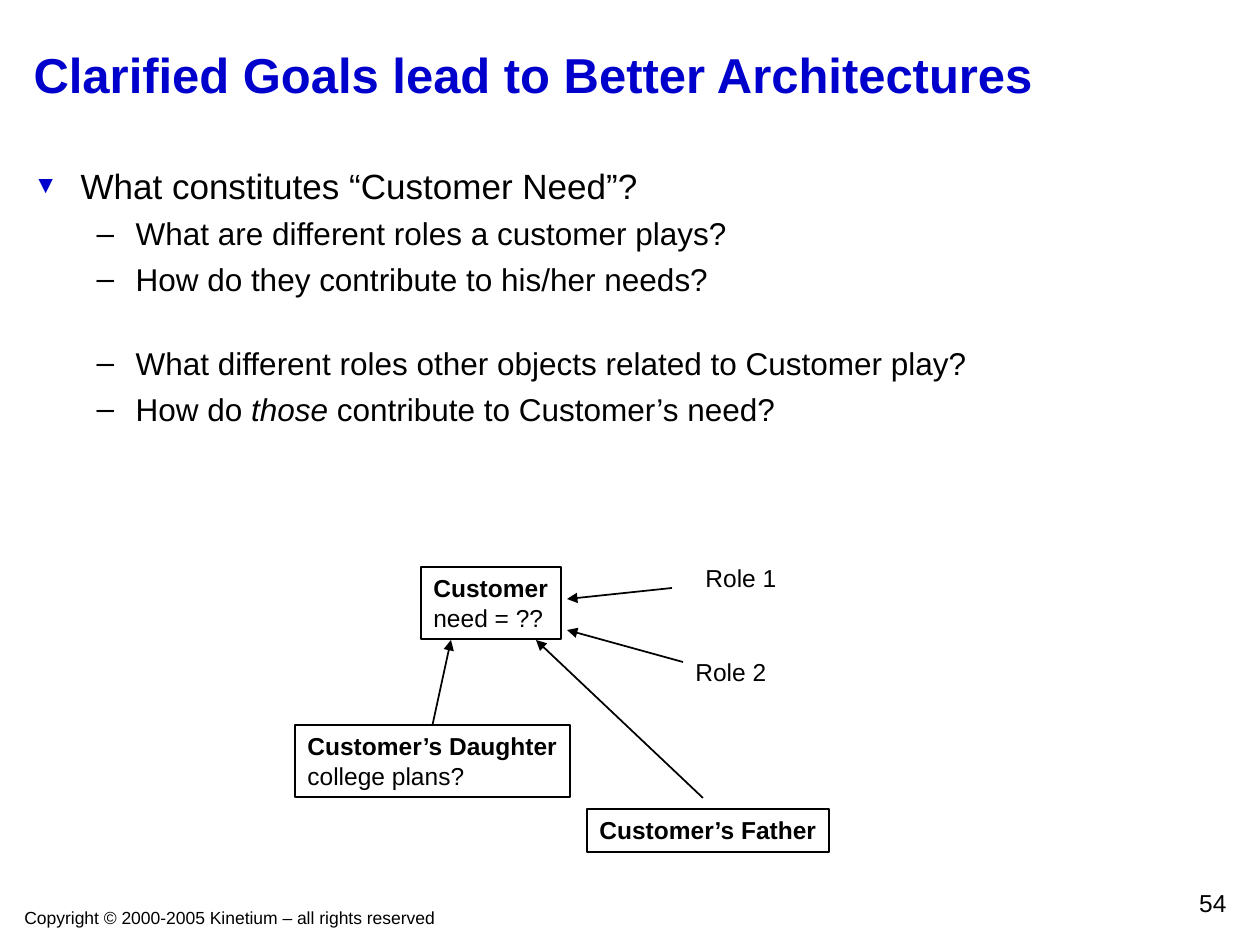
from lxml import etree
from pptx import Presentation
from pptx.dml.color import RGBColor
from pptx.enum.shapes import MSO_CONNECTOR, MSO_SHAPE
from pptx.enum.text import MSO_ANCHOR, MSO_AUTO_SIZE, PP_ALIGN
from pptx.oxml.ns import qn
from pptx.util import Pt

RECT, STRAIGHT = MSO_SHAPE.RECTANGLE, MSO_CONNECTOR.STRAIGHT
LEFT, RIGHT = PP_ALIGN.LEFT, PP_ALIGN.RIGHT
TOP, MIDDLE = MSO_ANCHOR.TOP, MSO_ANCHOR.MIDDLE
FONT = "Arial"
COLORS = {"title": "0000CC", "ink": "000000"}
PX = 914400 / 126

TITLE = "Clarified Goals lead to Better Architectures"
# level, space before in points, runs (text, style)
BULLETS = [
    (0, 5, [("What constitutes “Customer Need”?", "")]),
    (1, 4.5, [("What are different roles a customer plays?", "")]),
    (1, 4.5, [("How do they contribute to his/her needs?", "")]),
    (1, 26.5, [("What different roles other objects related to Customer play?", "")]),
    (1, 4.5, [("How do ", ""), ("those", "i"), (" contribute to Customer’s need?", "")]),
]
# text size, left indent, hanging indent, bullet, its size in %, its colour
LEVELS = [
    (20, 47, 47, "▼", 70, "title"),
    (18, 102, 39, "–", 100, "ink"),
]
# name: box, lines (text, style)
OBJECTS = {
    "customer": ((421, 567, 140, 72), [("Customer", "b"), ("need = ??", "")]),
    "father": ((587, 809, 242, 43), [("Customer’s Father", "b")]),
    "daughter": ((295, 725, 275, 72), [("Customer’s Daughter", "b"), ("college plans?", "")]),
}
# box, text, size, alignment, wrap
LABELS = [
    ((693, 557, 96, 43), "Role 1", 14, LEFT, False),
    ((683, 651, 96, 43), "Role 2", 14, LEFT, False),
    ((12, 901, 655, 34), "Copyright © 2000-2005 Kinetium – all rights reserved", 10, LEFT, True),
    ((977, 882, 262, 42), "54", 14, RIGHT, True),
]
# start, end, object whose top middle is the start
ARROWS = [
    ((672, 588), (567, 599), None),
    ((683, 662), (567, 630), None),
    ((703, 798), (536, 640), None),
    ((431, 725), (451, 640), "daughter"),
]


def px(*values):
    return [round(v * PX) for v in values]


def rgb(name):
    return RGBColor.from_string(COLORS[name])


def add_run(p, text, size, style="", color="ink"):
    r = p.add_run()
    r.text = text
    f = r.font
    f.name, f.size = FONT, Pt(size)
    f.bold, f.italic = "b" in style, "i" in style
    f.color.rgb = rgb(color)


def prepare(sp, anchor=TOP, wrap=True):
    """Set the frame's margins and anchor and return it."""
    tf = sp.text_frame
    tf.auto_size = MSO_AUTO_SIZE.NONE
    tf.word_wrap, tf.vertical_anchor = wrap, anchor
    tf.margin_left = tf.margin_right = Pt(7.2)
    tf.margin_top = tf.margin_bottom = Pt(3.6)
    return tf


def place(sp, box):
    sp.left, sp.top, sp.width, sp.height = px(*box)


def paragraphs(tf, items):
    """Yield a paragraph with each item, starting with the frame's first."""
    for i, item in enumerate(items):
        yield (tf.add_paragraph() if i else tf.paragraphs[0]), item


def set_bullet(p, left, hanging, char, percent, color):
    pPr = p._p.get_or_add_pPr()
    marL, indent = px(left, -hanging)
    pPr.set("marL", str(marL))
    pPr.set("indent", str(indent))
    clr = etree.SubElement(pPr, qn("a:buClr"))
    etree.SubElement(clr, qn("a:srgbClr"), val=COLORS[color])
    etree.SubElement(pPr, qn("a:buSzPct"), val=str(percent * 1000))
    etree.SubElement(pPr, qn("a:buFont"), typeface=FONT)
    etree.SubElement(pPr, qn("a:buChar"), char=char)


def add_object(slide, box, lines):
    sp = slide.shapes.add_shape(RECT, *px(*box))
    sp.shadow.inherit = False
    sp.fill.background()
    sp.line.color.rgb, sp.line.width = rgb("ink"), Pt(1)
    for p, (text, style) in paragraphs(prepare(sp, wrap=False), lines):
        p.alignment = LEFT
        add_run(p, text, 14, style)
    return sp


def add_arrow(slide, start, end, source):
    c = slide.shapes.add_connector(STRAIGHT, *px(*start, *end))
    c.line.color.rgb, c.line.width = rgb("ink"), Pt(1)
    etree.SubElement(c.line._get_or_add_ln(), qn("a:tailEnd"), type="triangle")
    etree.SubElement(c._element.spPr, qn("a:effectLst"))
    if source is not None:
        c.begin_connect(source, 0)


def main():
    prs = Presentation()
    prs.slide_width, prs.slide_height = px(1260, 945)
    slide = prs.slides.add_slide(prs.slide_layouts[1])
    title, body = slide.placeholders

    place(title, (21, 21, 1218, 105))
    p = prepare(title, MIDDLE).paragraphs[0]
    p.alignment = LEFT
    add_run(p, TITLE, 28, "b", "title")

    place(body, (21, 158, 1218, 346))
    for p, (level, before, runs) in paragraphs(prepare(body), BULLETS):
        size, *bullet = LEVELS[level]
        p.level = level
        set_bullet(p, *bullet)
        p.space_before = Pt(before)
        for text, style in runs:
            add_run(p, text, size, style)

    objects = {name: add_object(slide, *spec) for name, spec in OBJECTS.items()}

    for box, text, size, align, wrap in LABELS:
        p = prepare(slide.shapes.add_textbox(*px(*box)), wrap=wrap).paragraphs[0]
        p.alignment = align
        add_run(p, text, size)

    for start, end, source in ARROWS:
        add_arrow(slide, start, end, objects.get(source))

    prs.save("out.pptx")


if __name__ == "__main__":
    main()
